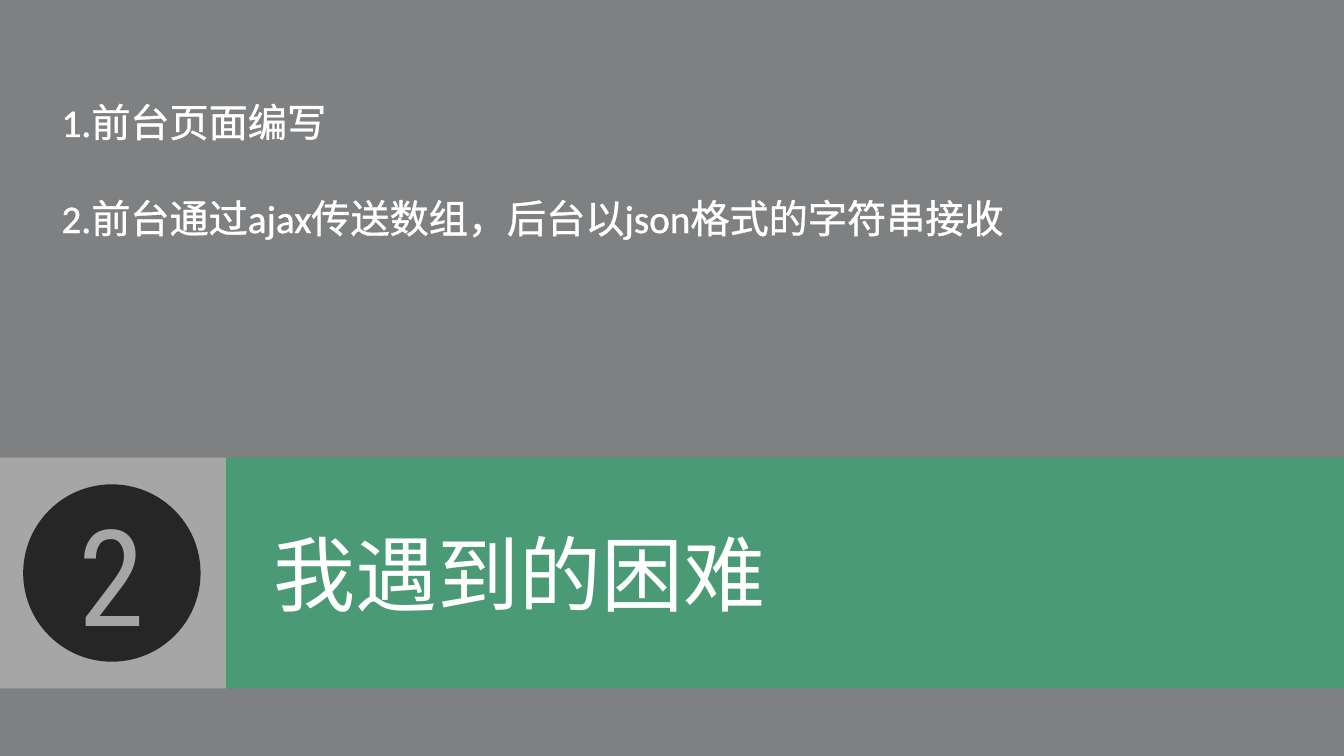
from lxml.etree import SubElement
from pptx import Presentation
from pptx.dml.color import RGBColor
from pptx.enum.shapes import MSO_SHAPE
from pptx.enum.text import MSO_ANCHOR, MSO_AUTO_SIZE, PP_ALIGN
from pptx.oxml import parse_xml
from pptx.oxml.ns import nsdecls, qn
from pptx.util import Inches, Pt

WHITE = RGBColor(0xFF, 0xFF, 0xFF)
SLATE = RGBColor(0x1A, 0x1E, 0x21)
GREEN = RGBColor(0x00, 0xC1, 0x65)
LIGHT_GRAY = RGBColor(0xA6, 0xA6, 0xA6)
DARK_GRAY = RGBColor(0x26, 0x26, 0x26)

SLIDE_WIDTH, SLIDE_HEIGHT = 13.33, 7.5
HEADING_FONT = "Roboto Condensed"
DIFFICULTIES = [
    "1.前台页面编写",
    "2.前台通过ajax传送数组，后台以json格式的字符串接收",
]


def add_block(page, kind, left, top, width, height, color, opacity=100):
    block = page.shapes.add_shape(
        kind, Inches(left), Inches(top), Inches(width), Inches(height))
    block.shadow.inherit = False
    block.fill.solid()
    block.fill.fore_color.rgb = color
    block.line.fill.background()
    if opacity < 100:
        fill_color = block.fill._xPr.find(qn("a:solidFill"))[0]
        SubElement(fill_color, qn("a:alpha"), val=str(opacity * 1000))
    return block


def write_text(para, text, size, font, color, align=PP_ALIGN.LEFT, outline=False):
    para.alignment = align
    span = para.add_run()
    span.text = text
    span.font.size = Pt(size)
    span.font.name = font
    span.font.color.rgb = color
    if outline:
        span.font._element.insert(0, parse_xml(
            f'<a:ln w="9525" {nsdecls("a")}><a:solidFill>'
            f'<a:srgbClr val="{color}"/></a:solidFill></a:ln>'))


def place_placeholder(page, box, left, top, width, height):
    """Move a placeholder to its place, in front of the blocks drawn so far."""
    box.left, box.top = Inches(left), Inches(top)
    box.width, box.height = Inches(width), Inches(height)
    page.shapes._spTree.append(box._element)
    frame = box.text_frame
    frame.word_wrap = True
    frame.auto_size = MSO_AUTO_SIZE.NONE
    frame.vertical_anchor = MSO_ANCHOR.TOP
    return frame


def add_section_band(page, left, top, width, height, number, heading):
    tab_width, circle_size = 2.24, 1.76
    # Number tab and translucent band
    add_block(page, MSO_SHAPE.RECTANGLE, left, top, tab_width, height, LIGHT_GRAY)
    add_block(page, MSO_SHAPE.RECTANGLE, left + tab_width, top,
              width - tab_width, height, GREEN, opacity=41)
    # Heading
    frame = place_placeholder(page, page.shapes.title, left + 2.61, top + 0.6, 10.36, 1.09)
    write_text(frame.paragraphs[0], heading, 58.6, HEADING_FONT, WHITE)
    # Number circle
    circle = add_block(page, MSO_SHAPE.OVAL, left + 0.23,
                       top + (height - circle_size) / 2,
                       circle_size, circle_size, DARK_GRAY)
    circle.text_frame.vertical_anchor = MSO_ANCHOR.MIDDLE
    write_text(circle.text_frame.paragraphs[0], number, 96, HEADING_FONT,
               LIGHT_GRAY, align=PP_ALIGN.CENTER)


def add_difficulty_list(page, left, top, width, height, items):
    frame = place_placeholder(page, page.placeholders[1], left, top, width, height)
    for index, item in enumerate(items):
        para = frame.add_paragraph() if index else frame.paragraphs[0]
        para.space_before = Pt(0)
        para.space_after = Pt(35)
        write_text(para, item, 28, "Calibri", WHITE, outline=True)
        # The numbers are typed, so bullets and indents are off
        properties = para._p.get_or_add_pPr()
        properties.set("marL", "0")
        properties.set("indent", "0")
        SubElement(properties, qn("a:buNone"))


def main():
    deck = Presentation()
    deck.slide_width, deck.slide_height = Inches(SLIDE_WIDTH), Inches(SLIDE_HEIGHT)
    page = deck.slides.add_slide(deck.slide_layouts[1])
    # Translucent backdrop
    add_block(page, MSO_SHAPE.RECTANGLE, 0, 0, SLIDE_WIDTH, SLIDE_HEIGHT,
              SLATE, opacity=56)
    add_section_band(page, 0, 4.54, SLIDE_WIDTH, 2.29, "2", "我遇到的困难")
    add_difficulty_list(page, 0.51, 0.92, 10.1, 1.53, DIFFICULTIES)
    deck.save("out.pptx")


if __name__ == "__main__":
    main()
